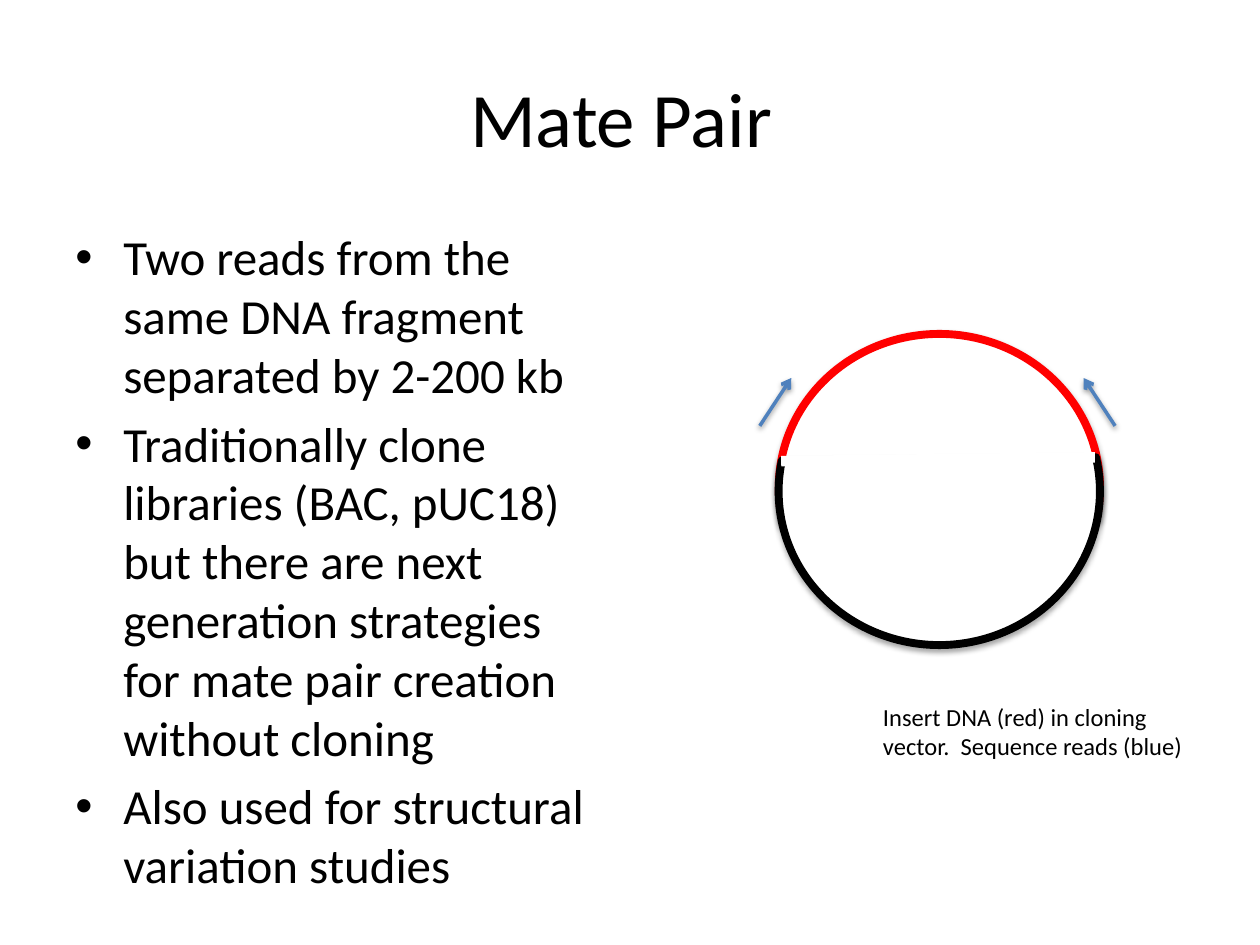
from dataclasses import dataclass

from lxml import etree
from pptx import Presentation
from pptx.dml.color import RGBColor
from pptx.enum.shapes import MSO_CONNECTOR, MSO_SHAPE
from pptx.enum.text import MSO_ANCHOR, PP_ALIGN
from pptx.oxml.ns import qn
from pptx.util import Inches, Pt

CHORD = MSO_SHAPE.CHORD
STRAIGHT = MSO_CONNECTOR.STRAIGHT
MIDDLE, TOP = MSO_ANCHOR.MIDDLE, MSO_ANCHOR.TOP
CENTER, LEFT = PP_ALIGN.CENTER, PP_ALIGN.LEFT

FONT = "Calibri"
BLACK, WHITE, RED, BLUE = "000000", "FFFFFF", "FF0000", "4F81BD"
ARC_ENDS = (208.64, 114.64)
BULLET_INDENT = Inches(0.38)


@dataclass
class TextBlock:
    place: tuple[float, float, float, float]
    lines: list[str]
    size: float
    align: PP_ALIGN = LEFT
    anchor: MSO_ANCHOR = TOP
    bulleted: bool = False


@dataclass
class Arc:
    top: float
    color: str
    rotation: float


@dataclass
class Stroke:
    start: tuple[float, float]
    end: tuple[float, float]
    color: str
    width: float
    arrow: bool = False


TEXTS = [
    TextBlock((0.5, 0.3, 9, 1.25), ["Mate Pair "], 44, CENTER, MIDDLE),
    TextBlock((0.5, 1.75, 4.42, 4.95), [
        "Two reads from the same DNA fragment separated by 2-200 kb",
        "Traditionally clone libraries (BAC, pUC18) but there are next "
        "generation strategies for mate pair creation without cloning",
        "Also used for structural variation studies",
    ], 28, bulleted=True),
    TextBlock((6.91, 5.52, 2.77, 0.57),
              ["Insert DNA (red) in cloning vector.  Sequence reads (blue)"], 14),
]
INSERT = Arc(2.65, RED, 180)
VECTOR = Arc(2.68, BLACK, 0)
STROKES = [
    Stroke((6.2, 3.66), (8.69, 3.63), WHITE, 6),
    Stroke((6.03, 3.38), (6.28, 3), BLUE, 2, True),
    Stroke((8.85, 3.38), (8.6, 3), BLUE, 2, True),
]


def color_of(code: str) -> RGBColor:
    return RGBColor.from_string(code)


def set_all(target, values: dict) -> None:
    for name, value in values.items():
        setattr(target, name, value)


def add_shadow(effects, distance: float, opacity: int) -> None:
    shadow = etree.SubElement(
        effects, qn("a:outerShdw"), blurRad=str(Pt(3.1)), dist=str(Pt(distance)),
        dir="5400000", rotWithShape="0")
    shade = etree.SubElement(shadow, qn("a:srgbClr"), val=BLACK)
    etree.SubElement(shade, qn("a:alpha"), val=str(opacity * 1000))


def add_bullet(para) -> None:
    para.space_before = Pt(5.6)
    properties = para._p.get_or_add_pPr()
    properties.set("marL", str(BULLET_INDENT))
    properties.set("indent", str(-BULLET_INDENT))
    etree.SubElement(properties, qn("a:buFont"), typeface="Arial")
    etree.SubElement(properties, qn("a:buChar"), char="•")


def add_text(page, block: TextBlock) -> None:
    box = page.shapes.add_textbox(*map(Inches, block.place))
    frame = box.text_frame
    set_all(frame, {"word_wrap": True, "vertical_anchor": block.anchor})
    for index, line in enumerate(block.lines):
        para = frame.add_paragraph() if index else frame.paragraphs[0]
        para.alignment = block.align
        if block.bulleted:
            add_bullet(para)
        span = para.add_run()
        span.text = line
        set_all(span.font, {"name": FONT, "size": Pt(block.size)})
        span.font.color.rgb = color_of(BLACK)


def add_arc(page, arc: Arc) -> None:
    shape = page.shapes.add_shape(
        CHORD, Inches(6.18), Inches(arc.top), Inches(2.55), Inches(2.44))
    for index, value in enumerate(ARC_ENDS):
        shape.adjustments[index] = value
    shape.rotation = arc.rotation
    shape.fill.solid()
    shape.fill.fore_color.rgb = color_of(WHITE)
    shape.line.color.rgb = color_of(arc.color)
    shape.line.width = Pt(4.5)
    shape.shadow.inherit = False
    add_shadow(shape._element.spPr.find(qn("a:effectLst")), 1.8, 35)


def add_stroke(page, stroke: Stroke) -> None:
    connector = page.shapes.add_connector(
        STRAIGHT, *map(Inches, stroke.start + stroke.end))
    connector.line.color.rgb = color_of(stroke.color)
    connector.line.width = Pt(stroke.width)
    properties = connector._element.spPr
    effects = etree.SubElement(properties, qn("a:effectLst"))
    if stroke.arrow:
        etree.SubElement(properties.find(qn("a:ln")), qn("a:tailEnd"), type="arrow")
        add_shadow(effects, 1.6, 38)


def main() -> None:
    deck = Presentation()
    set_all(deck, {"slide_width": Inches(10), "slide_height": Inches(7.5)})
    page = deck.slides.add_slide(deck.slide_layouts[6])
    for arc in (INSERT, VECTOR):
        add_arc(page, arc)
    for stroke in STROKES:
        add_stroke(page, stroke)
    for block in TEXTS:
        add_text(page, block)
    deck.save("out.pptx")


if __name__ == "__main__":
    main()
